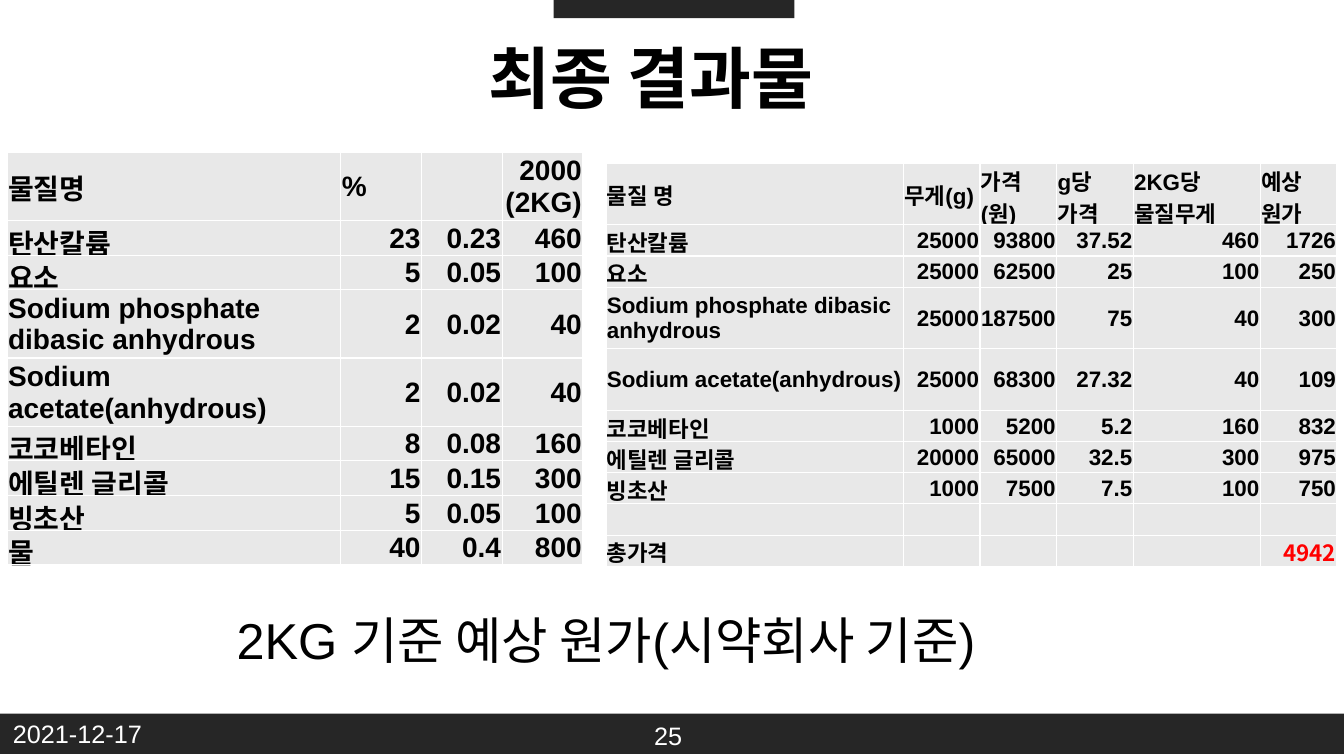
from lxml.etree import SubElement
from pptx import Presentation
from pptx.dml.color import RGBColor
from pptx.enum.shapes import MSO_SHAPE
from pptx.enum.text import MSO_ANCHOR as ANCHOR, PP_ALIGN as ALIGN
from pptx.oxml.ns import qn
from pptx.util import Inches, Pt

BLACK, WHITE, RED = "000000", "FFFFFF", "FF0000"
BAR_FILL, CELL_FILL = "262626", "E8E8E8"
LATIN, KOREAN = "Arial", "Noto Sans CJK KR"


def color(hex_string):
    return RGBColor.from_string(hex_string)


def add_run(paragraph, text, size, hex_string=BLACK, bold=False, latin=LATIN):
    run = paragraph.add_run()
    run.text = text
    run.font.size = Pt(size)
    run.font.bold = bold
    run.font.color.rgb = color(hex_string)
    run.font.name = latin
    SubElement(run.font._element, qn("a:ea"), typeface=KOREAN)


prs = Presentation()
prs.slide_width, prs.slide_height = Inches(13.33), Inches(7.5)
slide = prs.slides.add_slide(prs.slide_layouts[6])

# Dark bars at the top and bottom edges
for left, top, width, height in [(5.49, 0, 2.39, 0.18), (0, 7.08, 13.33, 0.4)]:
    bar = slide.shapes.add_shape(
        MSO_SHAPE.RECTANGLE, Inches(left), Inches(top), Inches(width), Inches(height))
    bar.shadow.inherit = False
    bar.fill.solid()
    bar.fill.fore_color.rgb = color(BAR_FILL)
    bar.line.fill.background()

# Title, caption, date and page number
captions = [
    ("최종 결과물", (4.75, 0.31, 7.1, 0.91), 48, BLACK, True, ALIGN.LEFT, ANCHOR.TOP),
    ("2KG 기준 예상 원가(시약회사 기준)", (-0.33, 5.98, 12.68, 0.81), 36, BLACK, False,
     ALIGN.CENTER, ANCHOR.MIDDLE),
    ("2021-12-17", (0.03, 7.08, 3, 0.4), 18, WHITE, False, ALIGN.LEFT, ANCHOR.TOP),
    ("25", (6.39, 7.1, 0.54, 0.4), 18, WHITE, False, ALIGN.LEFT, ANCHOR.TOP),
]
for text, place, size, hex_string, bold, align, anchor in captions:
    frame = slide.shapes.add_textbox(*map(Inches, place)).text_frame
    frame.word_wrap = True
    frame.vertical_anchor = anchor
    paragraph = frame.paragraphs[0]
    paragraph.alignment = align
    if align == ALIGN.CENTER:
        paragraph.line_spacing = 0.9
    add_run(paragraph, text, size, hex_string, bold)

# Recipe and cost tables
recipe = [
    ["물질명", "%", "", "2000\n(2KG)"],
    ["탄산칼륨", "23", "0.23", "460"],
    ["요소", "5", "0.05", "100"],
    ["Sodium phosphate dibasic anhydrous", "2", "0.02", "40"],
    ["Sodium acetate(anhydrous)", "2", "0.02", "40"],
    ["코코베타인", "8", "0.08", "160"],
    ["에틸렌 글리콜", "15", "0.15", "300"],
    ["빙초산", "5", "0.05", "100"],
    ["물", "40", "0.4", "800"],
]
costs = [
    ["물질 명", "무게(g)", "가격(원)", "g당 가격", "2KG당 물질무게", "예상 원가"],
    ["탄산칼륨", "25000", "93800", "37.52", "460", "1726"],
    ["요소", "25000", "62500", "25", "100", "250"],
    ["Sodium phosphate dibasic anhydrous", "25000", "187500", "75", "40", "300"],
    ["Sodium acetate(anhydrous)", "25000", "68300", "27.32", "40", "109"],
    ["코코베타인", "1000", "5200", "5.2", "160", "832"],
    ["에틸렌 글리콜", "20000", "65000", "32.5", "300", "975"],
    ["빙초산", "1000", "7500", "7.5", "100", "750"],
    [""] * 6,
    ["총가격", "", "", "", "", "4942"],
]
TOTAL_COST = "4942"
TALL_ROWS = (0, 3, 4)

tables = [
    (recipe, 0.07, 1.51, [3.31, 0.8, 0.8, 0.8], 20),
    (costs, 6.01, 1.62, [2.95, 0.76, 0.76, 0.76, 1.26, 0.76], 16),
]
for rows, left, top, widths, size in tables:
    heights = [0.61 if r in TALL_ROWS else 0.31 for r in range(len(rows))]
    table = slide.shapes.add_table(
        len(rows), len(widths), Inches(left), Inches(top),
        Inches(sum(widths)), Inches(sum(heights))).table
    table.first_row = table.horz_banding = False
    for column, width in zip(table.columns, widths):
        column.width = Inches(width)
    for r, values in enumerate(rows):
        table.rows[r].height = Inches(heights[r])
        for c, value in enumerate(values):
            cell = table.cell(r, c)
            cell.vertical_anchor = ANCHOR.MIDDLE
            cell.margin_left = cell.margin_top = cell.margin_right = Inches(0.01)
            cell.margin_bottom = 0
            for side in ("lnL", "lnR", "lnT", "lnB"):
                border = SubElement(cell._tc.get_or_add_tcPr(), qn(f"a:{side}"), w=str(Pt(1)))
                SubElement(SubElement(border, qn("a:solidFill")), qn("a:srgbClr"), val=WHITE)
            cell.fill.solid()
            cell.fill.fore_color.rgb = color(CELL_FILL)

            is_total = value == TOTAL_COST
            for i, line in enumerate(value.split("\n")):
                frame = cell.text_frame
                paragraph = frame.add_paragraph() if i else frame.paragraphs[0]
                if c and (r or "\n" in value):
                    paragraph.alignment = ALIGN.RIGHT
                if line:
                    add_run(paragraph, line, size, RED if is_total else BLACK, True,
                            KOREAN if is_total else LATIN)
                else:
                    SubElement(paragraph._p, qn("a:endParaRPr"), sz=str(size * 100))

prs.save("out.pptx")
